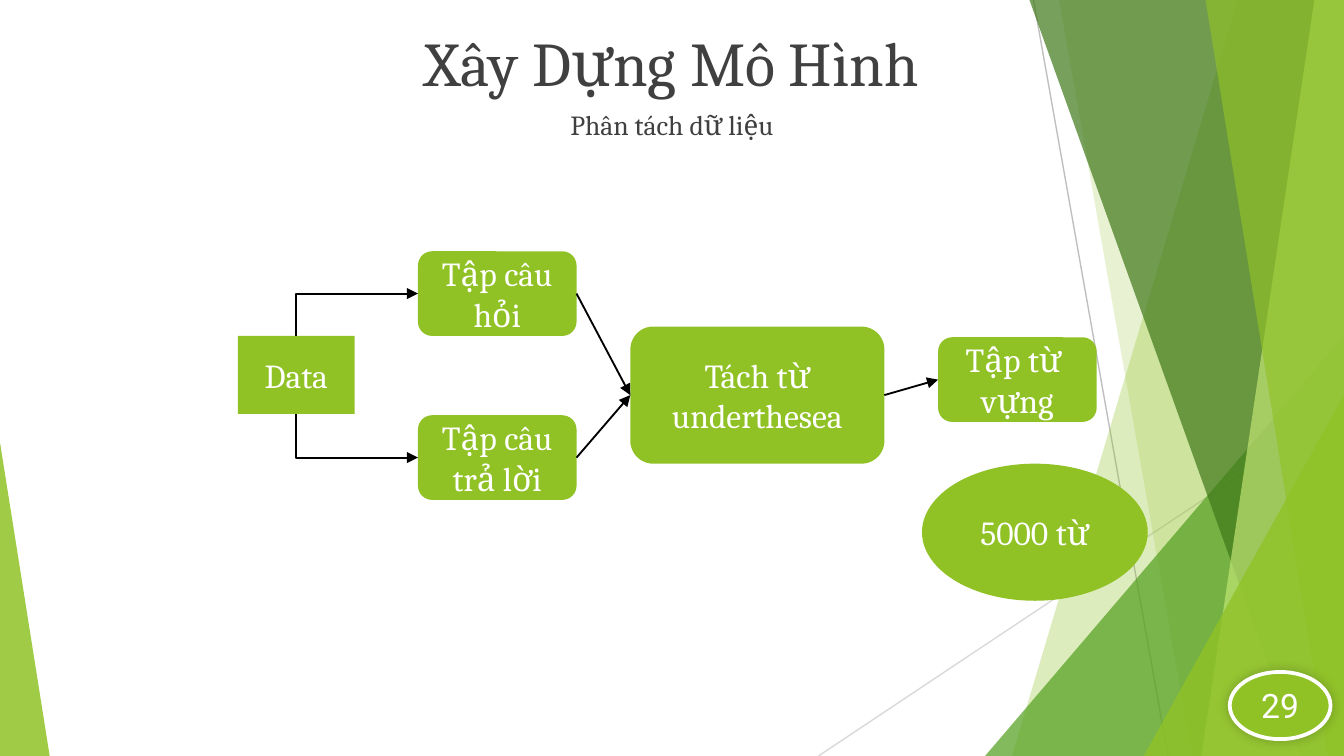
from dataclasses import dataclass
from typing import Any

from lxml import etree
from pptx import Presentation
from pptx import util as u
from pptx.dml import color
from pptx.enum import shapes, text
from pptx.oxml import ns

GREEN = color.RGBColor(0x90, 0xC2, 0x26)
MID_GREEN = color.RGBColor(0x54, 0xA0, 0x21)
DARK_GREEN = color.RGBColor(0x3F, 0x78, 0x19)
PALE_GREEN = color.RGBColor(0xC0, 0xE4, 0x74)
WHITE = color.RGBColor(0xFF, 0xFF, 0xFF)
BLACK = color.RGBColor(0, 0, 0)
CHARCOAL = color.RGBColor(0x40, 0x40, 0x40)
GREY = color.RGBColor(0xBF, 0xBF, 0xBF)
LIGHT_GREY = color.RGBColor(0xD9, 0xD9, 0xD9)

WIDTH = 10
HEIGHT = WIDTH * 9 / 16
KIND = shapes.MSO_SHAPE
Point = tuple[float, float]
Area = tuple[float, float, float, float]


@dataclass
class Band:
    top_x: float
    bottom_x: float
    fill: color.RGBColor
    opacity: int


@dataclass
class Wedge:
    left: float
    top: float
    width: float
    apex: float
    fill: color.RGBColor
    opacity: int


@dataclass
class Node:
    kind: Any
    area: Area
    lines: tuple[str, ...]
    font: str = "Cambria"

    def side(self, x: float, y: float) -> Point:
        left, top, width, height = self.area
        return left + x * width, top + y * height


DECORATION = (
    Band(9.21, 7.53, GREEN, 30),
    Band(7.88, 8.87, GREEN, 20),
    Wedge(7.33, 2.5, 2.67, 1, MID_GREEN, 72),
    Band(7.66, 9.68, DARK_GREEN, 70),
    Band(9.78, 8.94, PALE_GREEN, 70),
    Band(8.97, 9.88, GREEN, 65),
    Wedge(8.51, 2.94, 1.49, 1, GREEN, 80),
    Wedge(0, 3.29, 0.37, 0, GREEN, 85),
)

DATA = Node(KIND.RECTANGLE, (1.77, 2.5, 0.87, 0.58), ("Data",))
QUESTIONS = Node(KIND.ROUNDED_RECTANGLE, (3.11, 1.87, 1.18, 0.63), ("Tập câu hỏi",))
ANSWERS = Node(KIND.ROUNDED_RECTANGLE, (3.11, 3.09, 1.18, 0.63), ("Tập câu trả lời",))
SPLITTER = Node(KIND.ROUNDED_RECTANGLE, (4.69, 2.43, 1.89, 1.02), ("Tách từ", "underthesea"))
VOCABULARY = Node(KIND.ROUNDED_RECTANGLE, (6.98, 2.51, 1.18, 0.63), ("Tập từ ", "vựng"))
WORD_COUNT = Node(KIND.OVAL, (6.86, 3.45, 1.68, 1.02), ("5000 từ",))
PAGE_NUMBER = Node(KIND.OVAL, (9.15, 5, 0.75, 0.5), ("29",), "Roboto")


def lengths(values: tuple[float, ...]) -> list[u.Length]:
    return [u.Inches(value) for value in values]


def apply(target: Any, values: dict[str, Any]) -> None:
    for name, value in values.items():
        setattr(target, name, value)


def write(box: Any, lines: tuple[str, ...], font: dict[str, Any], before: float = 0) -> None:
    frame = box.text_frame
    apply(frame, {"word_wrap": True, "auto_size": text.MSO_AUTO_SIZE.NONE,
                  "vertical_anchor": text.MSO_ANCHOR.MIDDLE})
    for index, line in enumerate(lines):
        para = frame.add_paragraph() if index else frame.paragraphs[0]
        apply(para, {"alignment": text.PP_ALIGN.CENTER, "space_before": u.Pt(before)})
        span = para.add_run()
        span.text = line
        apply(span.font, {key: value for key, value in font.items() if key != "color"})
        span.font.color.rgb = font["color"]


def paint(shape: Any, fill: color.RGBColor, opacity: int = 100) -> None:
    shape.shadow.inherit = False
    shape.fill.solid()
    shape.fill.fore_color.rgb = fill
    shape.line.fill.background()
    if opacity < 100:
        tint = shape.fill._xPr.find(".//" + ns.qn("a:srgbClr"))
        etree.SubElement(tint, ns.qn("a:alpha"), val=str(opacity * 1000))


def draw_band(page: Any, band: Band) -> None:
    builder = page.shapes.build_freeform(*lengths((band.top_x, 0)))
    corners = ((WIDTH, 0), (WIDTH, HEIGHT), (band.bottom_x, HEIGHT))
    builder.add_line_segments([lengths(corner) for corner in corners])
    paint(builder.convert_to_shape(), band.fill, band.opacity)


def draw_wedge(page: Any, wedge: Wedge) -> None:
    area = (wedge.left, wedge.top, wedge.width, HEIGHT - wedge.top)
    shape = page.shapes.add_shape(KIND.ISOSCELES_TRIANGLE, *lengths(area))
    shape.adjustments[0] = wedge.apex
    paint(shape, wedge.fill, wedge.opacity)


def draw_node(page: Any, node: Node) -> Any:
    shape = page.shapes.add_shape(node.kind, *lengths(node.area))
    paint(shape, GREEN)
    write(shape, node.lines, {"name": node.font, "size": u.Pt(18), "color": WHITE})
    return shape


def draw_line(page: Any, start: Point, end: Point, ink: color.RGBColor, weight: float,
              kind: Any = shapes.MSO_CONNECTOR.STRAIGHT, arrow: bool = False) -> Any:
    line = page.shapes.add_connector(kind, *lengths(start + end))
    line.line.color.rgb = ink
    line.line.width = u.Pt(weight)
    properties = line._element.spPr
    if arrow:
        etree.SubElement(properties.find(ns.qn("a:ln")), ns.qn("a:tailEnd"), type="triangle")
    etree.SubElement(properties, ns.qn("a:effectLst"))
    return line


def draw_arrow(page: Any, start: Point, end: Point) -> None:
    draw_line(page, start, end, BLACK, 1, arrow=True)


def draw_elbow(page: Any, start: Point, end: Point) -> None:
    middle_x, middle_y = (start[0] + end[0]) / 2, (start[1] + end[1]) / 2
    half_width, half_height = abs(end[1] - start[1]) / 2, (end[0] - start[0]) / 2
    rising = end[1] < start[1]
    drop = half_height if rising else -half_height
    line = draw_line(page, (middle_x + half_width, middle_y + drop),
                     (middle_x - half_width, middle_y - drop), BLACK, 1,
                     shapes.MSO_CONNECTOR.ELBOW, True)
    properties = line._element.spPr
    properties.find(ns.qn("a:xfrm")).set("rot", str((90 if rising else 270) * 60000))
    properties.find(ns.qn("a:prstGeom")).set("prst", "bentConnector2")


def add_glow(shape: Any) -> None:
    effects = shape._element.spPr.find(ns.qn("a:effectLst"))
    shadow = etree.SubElement(effects, ns.qn("a:outerShdw"), blurRad=str(u.Pt(6)),
                              dist="0", dir=str(315 * 60000))
    tint = etree.SubElement(shadow, ns.qn("a:srgbClr"), val=str(BLACK))
    etree.SubElement(tint, ns.qn("a:alpha"), val="20000")


def main() -> None:
    deck = Presentation()
    apply(deck, {"slide_width": u.Inches(WIDTH), "slide_height": u.Inches(HEIGHT)})
    page = deck.slides.add_slide(deck.slide_layouts[5])

    draw_line(page, (7.69, 0), (8.69, HEIGHT), GREY, 0.75)
    draw_line(page, (WIDTH, 3.02), (6.09, HEIGHT), LIGHT_GREY, 0.75)
    for part in DECORATION:
        if isinstance(part, Band):
            draw_band(page, part)
        else:
            draw_wedge(page, part)

    title = page.shapes.title
    apply(title, dict(zip(("left", "top", "width", "height"), lengths((0, 0.14, WIDTH, 0.63)))))
    heading = {"name": "Cambria", "color": CHARCOAL}
    write(title, ("Xây Dựng Mô Hình",), heading | {"size": u.Pt(33.3)}, 7.5)
    subtitle = page.shapes.add_textbox(*lengths((0, 0.77, WIDTH, 0.31)))
    write(subtitle, ("Phân tách dữ liệu",), heading | {"size": u.Pt(14.8)}, 7.5)

    for node in (DATA, QUESTIONS, ANSWERS, SPLITTER, VOCABULARY, WORD_COUNT):
        draw_node(page, node)
    draw_elbow(page, DATA.side(0.5, 0), QUESTIONS.side(0, 0.5))
    draw_elbow(page, DATA.side(0.5, 1), ANSWERS.side(0, 0.5))
    for source in (QUESTIONS, ANSWERS):
        draw_arrow(page, source.side(1, 0.5), SPLITTER.side(0, 0.5))
    draw_arrow(page, SPLITTER.side(1, 0.5), VOCABULARY.side(0, 0.5))

    badge = draw_node(page, PAGE_NUMBER)
    badge.line.color.rgb = WHITE
    badge.line.width = u.Pt(2)
    add_glow(badge)
    deck.save("out.pptx")


if __name__ == "__main__":
    main()
